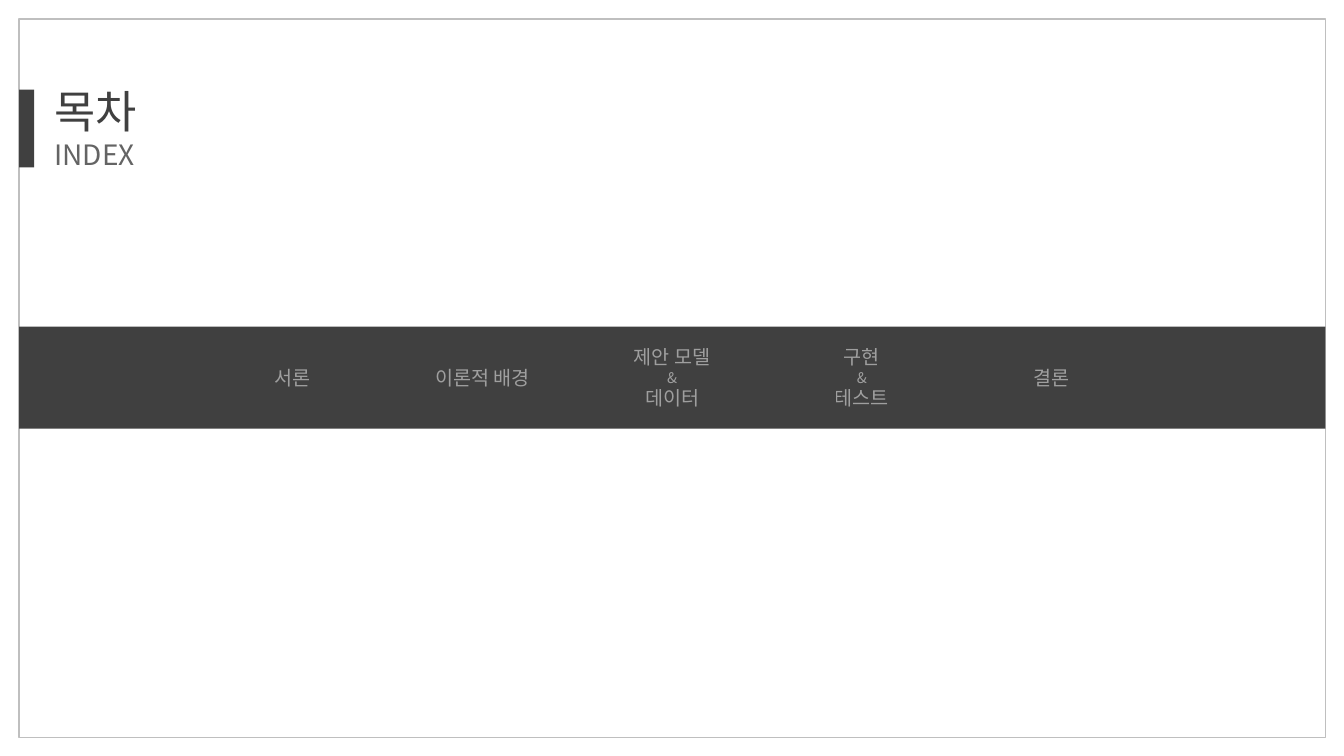
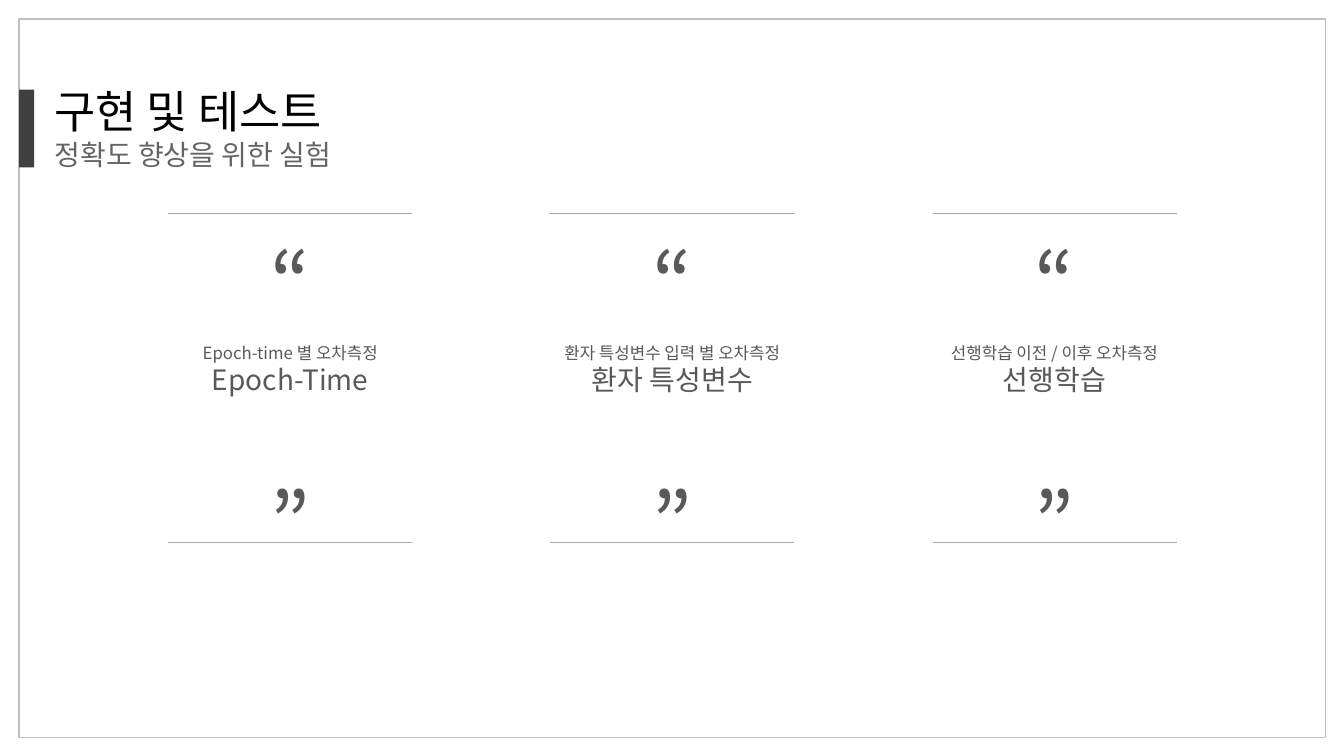
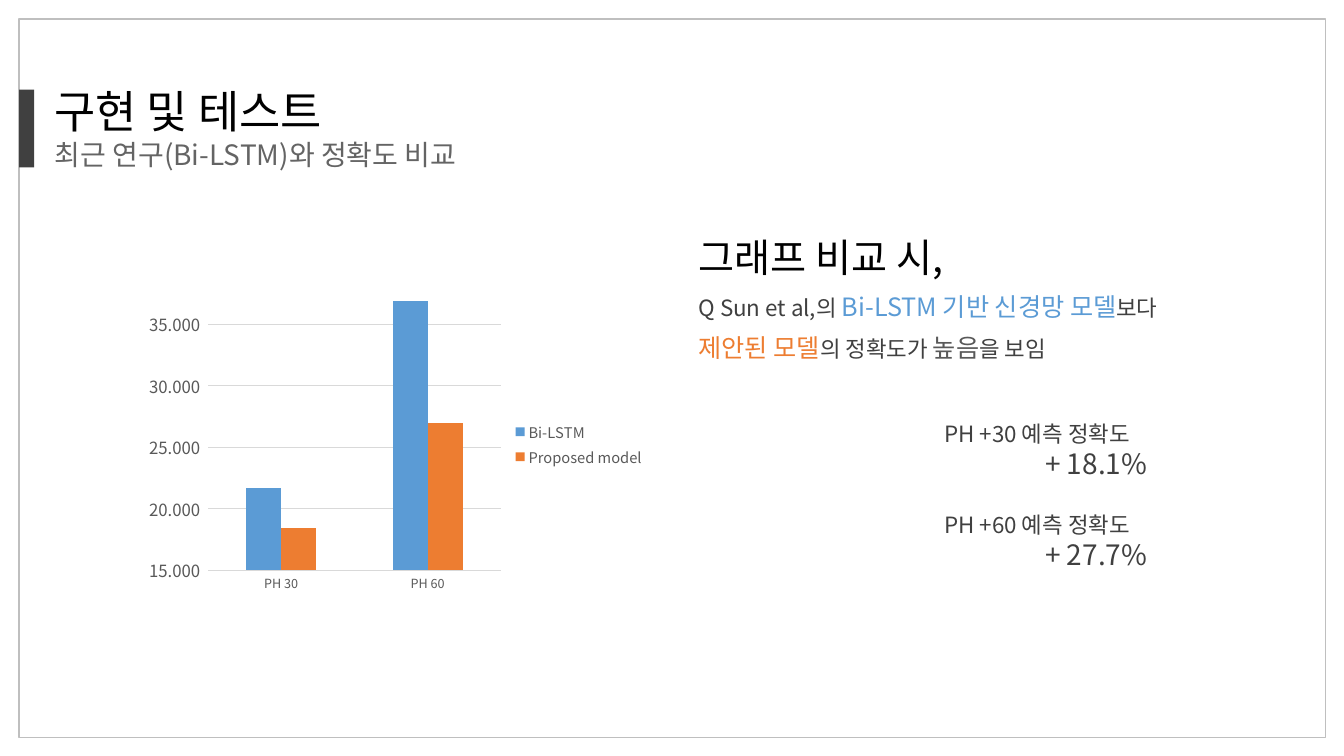
from lxml.etree import SubElement
from pptx import Presentation
from pptx.chart.data import CategoryChartData
from pptx.dml.color import RGBColor
from pptx.enum.chart import XL_CHART_TYPE, XL_LEGEND_POSITION, XL_TICK_MARK
from pptx.enum.shapes import MSO_CONNECTOR, MSO_SHAPE
from pptx.enum.text import MSO_ANCHOR, MSO_AUTO_SIZE, PP_ALIGN
from pptx.oxml import parse_xml
from pptx.oxml.ns import nsdecls, qn
from pptx.util import Cm, Pt

FONT = "Noto Sans CJK KR"
COLORS = {
    "black": "000000", "dark": "404040", "subtitle": "646464", "text": "595959",
    "white": "FFFFFF", "frame": "BFBFBF", "rule": "A6A6A6", "grid": "D9D9D9",
    "blue": "5B9BD5", "orange": "ED7D31",
}

AGENDA = [
    ["서론"],
    ["이론적 배경"],
    ["제안 모델", "&", "데이터"],
    ["구현", "&", "테스트"],
    ["결론"],
]
EXPERIMENTS = [
    ("Epoch-time 별 오차측정", "Epoch-Time"),
    ("환자 특성변수 입력 별 오차측정", "환자 특성변수"),
    ("선행학습 이전 / 이후 오차측정", "선행학습"),
]
FINDINGS = [
    [("그래프 비교 시,", 28, "black")],
    [("Q Sun et al,의 ", 16, "dark"), ("Bi-LSTM 기반 신경망 모델", 18, "blue"),
     ("보다", 16, "dark")],
    [("제안된 모델", 18, "orange"), ("의 정확도가 ", 16, "dark"),
     ("높음", 18, "text"), ("을 보임", 16, "dark")],
]
GAINS = [("PH +30 예측 정확도", "+ 18.1%"), ("PH +60 예측 정확도", "+ 27.7%")]
CATEGORIES = ["PH 30", "PH 60"]
SERIES = [("Bi-LSTM", (21.7, 36.9), "blue"), ("Proposed model", (18.4, 27), "orange")]


def rgb(name):
    return RGBColor.from_string(COLORS[name])


def box(left, top, width, height):
    return Cm(left), Cm(top), Cm(width), Cm(height)


def style_font(font, size, color):
    font.name = FONT
    font.size = Pt(size)
    font.color.rgb = rgb(color)


def write(tf, text, size=12, color="text", align=PP_ALIGN.LEFT, leading=1.2,
          before=0, indent=0, alpha=None, join=False):
    p = tf.paragraphs[-1]
    if p.runs and not join:
        p = tf.add_paragraph()
    r = p.add_run()
    r.text = text
    style_font(r.font, size, color)
    SubElement(r.font._element, qn("a:ea"), typeface=FONT)
    if alpha:
        clr = r.font._element.find(".//" + qn("a:srgbClr"))
        SubElement(clr, qn("a:alpha"), val=str(alpha * 1000))
    p.alignment = align
    p.line_spacing = Pt(max(run.font.size.pt for run in p.runs) * leading)
    p.space_before = Pt(before)
    pPr = p._p.get_or_add_pPr()
    pPr.set("marL", str(Cm(indent)))
    pPr.set("indent", "0")


def prepare(sp, anchor=MSO_ANCHOR.TOP):
    tf = sp.text_frame
    tf.word_wrap = True
    tf.auto_size = MSO_AUTO_SIZE.NONE
    tf.vertical_anchor = anchor
    return tf


def place(sp, left, top, width, height):
    sp.left, sp.top, sp.width, sp.height = box(left, top, width, height)
    return prepare(sp)


def add_box(s, *at, anchor=MSO_ANCHOR.TOP):
    return prepare(s.shapes.add_textbox(*box(*at)), anchor)


def add_rect(s, *at, fill=None, line=None):
    sp = s.shapes.add_shape(MSO_SHAPE.RECTANGLE, *box(*at))
    sp.shadow.inherit = False
    if fill:
        sp.fill.solid()
        sp.fill.fore_color.rgb = rgb(fill)
    else:
        sp.fill.background()
    if line:
        sp.line.color.rgb = rgb(line)
        sp.line.width = Pt(1)
    else:
        sp.line.fill.background()


def add_rule(s, left, top, width):
    line = s.shapes.add_connector(
        MSO_CONNECTOR.STRAIGHT, Cm(left), Cm(top), Cm(left + width), Cm(top))
    line.line.color.rgb = rgb("rule")
    line.line.width = Pt(0.75)
    SubElement(line._element.spPr, qn("a:effectLst"))


def new_slide(prs, title, subtitle, layout=5, color="black", title_width=16.33):
    s = prs.slides.add_slide(prs.slide_layouts[layout])
    add_rect(s, 0.48, 0.48, 32.92, 18.11, line="frame")
    add_rect(s, 0.48, 2.26, 0.38, 1.96, fill="dark")
    tf = place(s.shapes.title, 1.12, 1.98, title_width, 2.49)
    write(tf, title, size=32, color=color)
    write(tf, subtitle, size=20, color="subtitle")
    return s


def build_index(prs):
    s = new_slide(prs, "목차", "INDEX", color="dark", title_width=3.48)
    add_rect(s, 0.48, 8.23, 32.92, 2.57, fill="dark")
    for i, lines in enumerate(AGENDA):
        tf = add_box(s, 5.64 + 4.78 * i, 8.53, 3.48, 1.96, anchor=MSO_ANCHOR.MIDDLE)
        for text in lines:
            write(tf, text, size=10.5 if text == "&" else 14, color="white",
                  align=PP_ALIGN.CENTER, alpha=50)


def build_experiments(prs):
    s = new_slide(prs, "구현 및 테스트", "정확도 향상을 위한 실험")
    for i, (caption, name) in enumerate(EXPERIMENTS):
        left = 4.24 + 9.63 * i
        for mark, quote_top, rule_top in (("“", 5.69, 5.38), ("”", 11.73, 13.67)):
            add_rule(s, left, rule_top, 6.15)
            tf = add_box(s, left + 2.34, quote_top, 1.47, 1.57)
            tf.margin_left = tf.margin_right = 0
            write(tf, mark, size=60, align=PP_ALIGN.CENTER)
        tf = add_box(s, left - 0.25, 8.51, 6.65, 1.63)
        write(tf, caption, size=12, align=PP_ALIGN.CENTER)
        write(tf, name, size=20, align=PP_ALIGN.CENTER)


def add_accuracy_chart(s):
    data = CategoryChartData(number_format="0.0")
    data.categories = CATEGORIES
    for name, values, _ in SERIES:
        data.add_series(name, values)
    chart = s.shapes.add_chart(
        XL_CHART_TYPE.COLUMN_CLUSTERED, *box(3.56, 7.32, 12.95, 7.75), data).chart
    style_font(chart.font, 10, "black")
    chart.has_title = False
    chart.has_legend = True
    chart.legend.position = XL_LEGEND_POSITION.RIGHT
    chart.legend.include_in_layout = False
    style_font(chart.legend.font, 10.5, "text")

    plot = chart.plots[0]
    plot.gap_width = 219
    plot.overlap = 0
    plot.vary_by_categories = False
    for series, (_, _, color) in zip(plot.series, SERIES):
        series.format.fill.solid()
        series.format.fill.fore_color.rgb = rgb(color)

    cat, val = chart.category_axis, chart.value_axis
    for axis, size in ((cat, 9), (val, 12)):
        axis.major_tick_mark = axis.minor_tick_mark = XL_TICK_MARK.NONE
        style_font(axis.tick_labels.font, size, "text")
    val.minimum_scale, val.maximum_scale, val.major_unit = 15, 37, 5
    val.tick_labels.number_format = r"#,##0.000_);[Red]\(#,##0.000\)"
    val.tick_labels.number_format_is_linked = False
    val.format.line.fill.background()
    for line in (cat.format.line, val.major_gridlines.format.line):
        line.color.rgb = rgb("grid")
        line.width = Pt(0.75)

    area = chart._chartSpace.chart.plotArea
    for old in area.findall(qn("c:layout")):
        area.remove(old)
    parts = [("layoutTarget", "inner"), ("xMode", "edge"), ("yMode", "edge"),
             ("x", 0.13), ("y", 0.03), ("w", 0.57), ("h", 0.88)]
    items = "".join(f'<c:{tag} val="{value}"/>' for tag, value in parts)
    area.insert(0, parse_xml(
        f'<c:layout {nsdecls("c")}><c:manualLayout>{items}</c:manualLayout></c:layout>'))


def build_comparison(prs):
    s = new_slide(prs, "구현 및 테스트", "최근 연구(Bi-LSTM)와 정확도 비교", layout=1)
    tf = place(s.placeholders[1], 17.35, 5.87, 14.35, 10.01)
    for i, runs in enumerate(FINDINGS):
        for j, (text, size, color) in enumerate(runs):
            write(tf, text, size=size, color=color, leading=1.08,
                  before=10 if i else 0, join=j > 0)
    for p in tf.paragraphs:
        SubElement(p._p.get_or_add_pPr(), qn("a:buNone"))

    tf = add_box(s, 23.55, 10.46, 6.3, 4.11)
    for i, (label, gain) in enumerate(GAINS):
        write(tf, label, size=16, color="dark", before=21.6 if i else 0)
        write(tf, gain, size=20, color="dark", indent=2.54)
    add_accuracy_chart(s)


def main():
    prs = Presentation()
    prs.slide_width, prs.slide_height = Cm(33.87), Cm(19.05)
    build_index(prs)
    build_experiments(prs)
    build_comparison(prs)
    prs.save("out.pptx")


if __name__ == "__main__":
    main()
